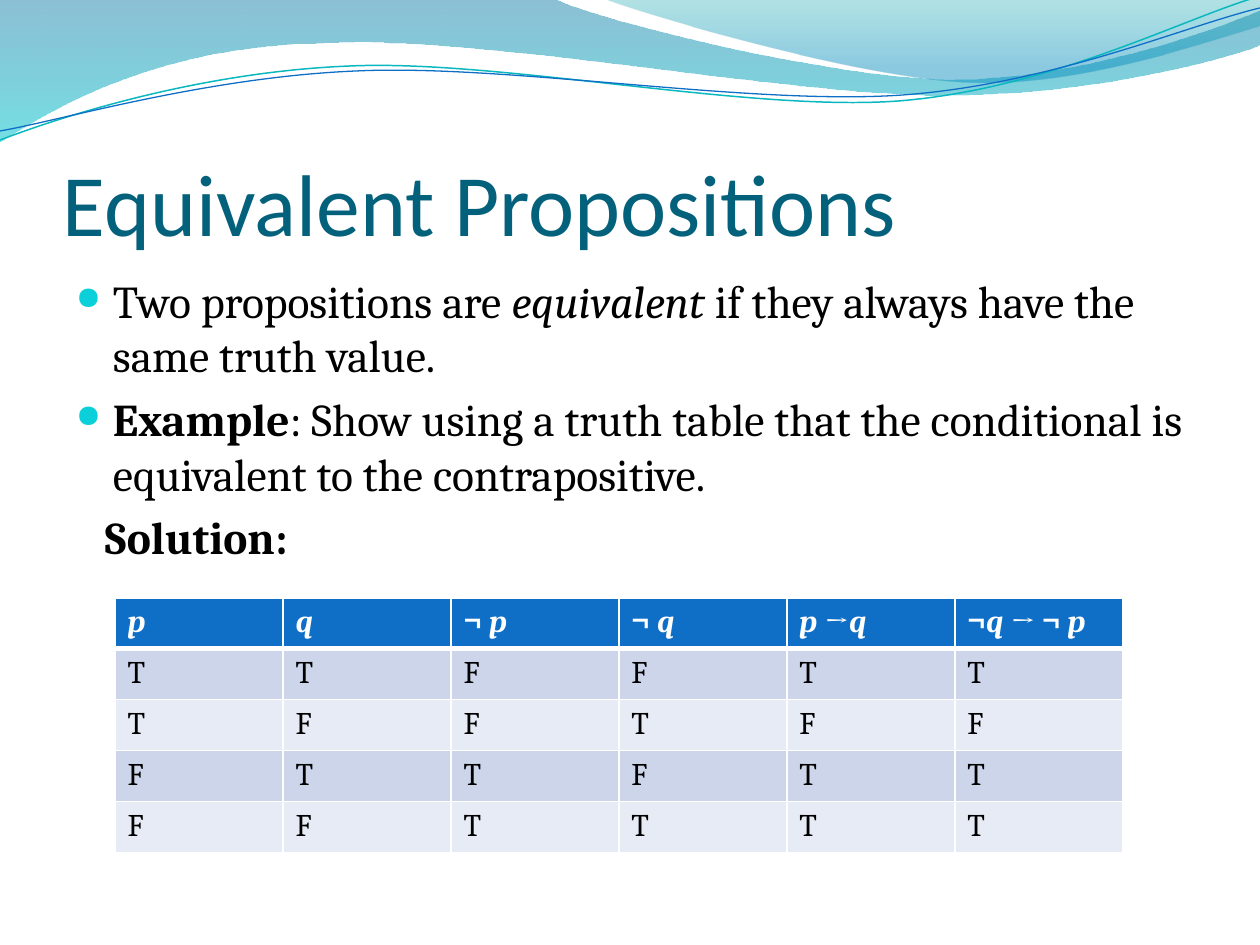
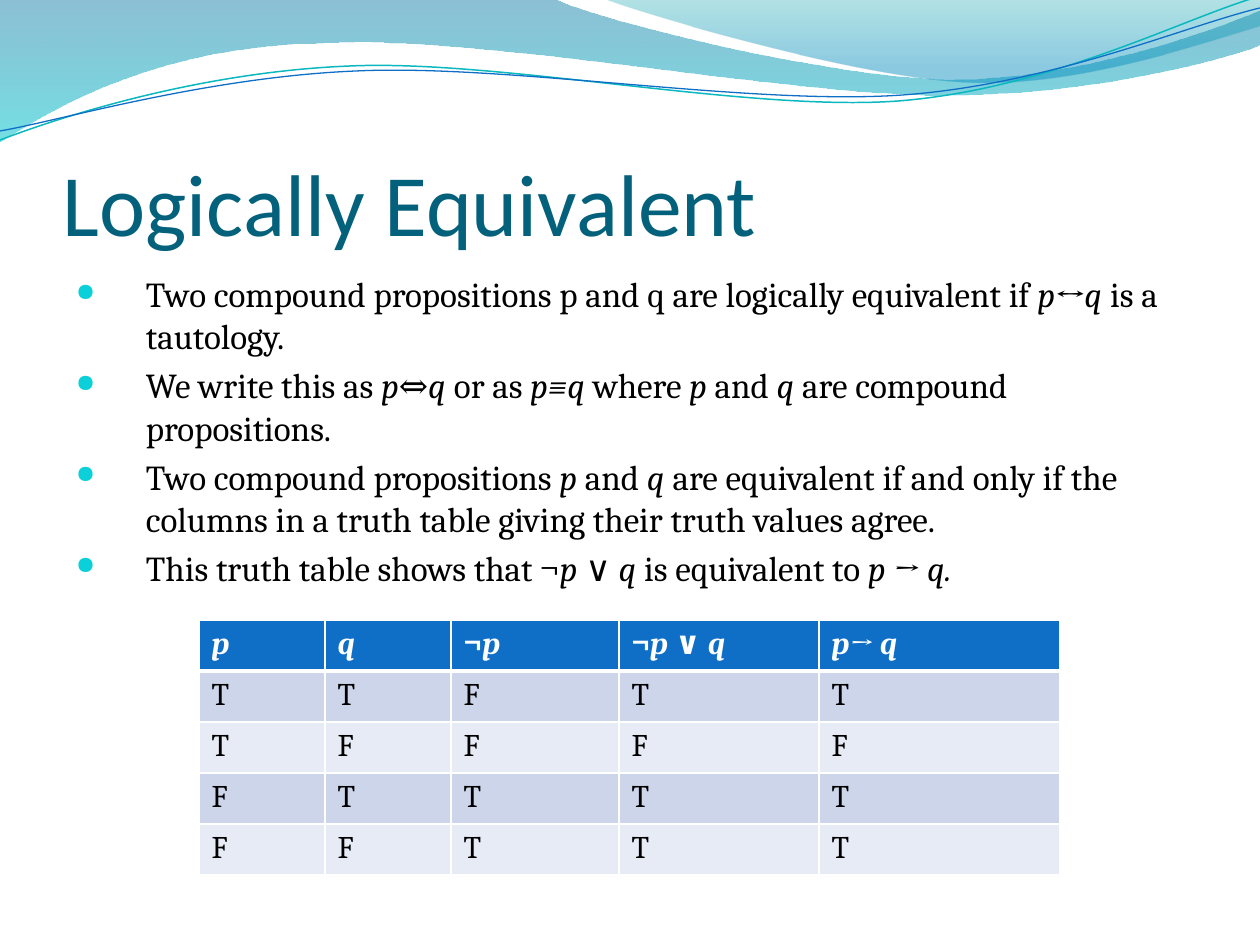
"""Build two slides on equivalent propositions, each with a truth table under a wave header."""
from dataclasses import dataclass

from lxml import etree
from pptx import Presentation
from pptx.dml.color import RGBColor
from pptx.enum.text import MSO_ANCHOR
from pptx.oxml.ns import qn
from pptx.util import Pt

PX = 914400 / 126
TOP, BOTTOM = MSO_ANCHOR.TOP, MSO_ANCHOR.BOTTOM


@dataclass(frozen=True)
class Theme:
    title_font: str = "Calibri"
    text_font: str = "Cambria"
    title_size: int = 50
    table_size: int = 18
    bullet_percent: int = 70
    title: str = "04617B"
    text: str = "000000"
    white: str = "FFFFFF"
    bullet: str = "0BD0D9"
    header: str = "0F6FC6"
    bands: tuple = ("CCD5EA", "E7EBF5")


THEME = Theme()
PAGE_SIZE = (1260, 945)
TITLE_BOX = (63, 96, 1134, 158)
BODY_BOX = (63, 267, 1136, 605)
TEXT_INSETS = (13, 6, 13, 6)
TITLE_INSETS = (0, 6, 0, 0)
PLAIN_MARGIN = 29
ROW_HEIGHT = 51

SLIDES = [
    {
        "title": "Equivalent Propositions",
        "size": 26,
        "hang": 37,
        "bullets": [
            "Two propositions are _equivalent _if they always have the same truth value.",
            "*Example*: Show using a truth table that the conditional is equivalent to the contrapositive.",
        ],
        "plain": ["*Solution:*"],
        "table": {
            "at": (115, 598),
            "columns": [168] * 6,
            "header_height": 21,
            "header": ["_p_", "_q_", "¬ _p_", "¬ _q_", "_p _→_q_", "¬_q _→ ¬ _p_"],
            "rows": ["TTFFTT", "TFFTFF", "FTTFTT", "FFTTTT"],
        },
    },
    {
        "title": "Logically Equivalent",
        "size": 20,
        "hang": 70,
        "bullets": [
            "Two compound propositions p and q are logically equivalent if _p↔q_ is a tautology.",
            "We write this as _p⇔q_ or as _p≡q_ where _p_ and _q_ are compound propositions.",
            "Two compound propositions _p_ and _q_ are equivalent if and only if the columns "
            "in a truth table giving their truth values agree.",
            "This truth table shows that ¬_p _∨ _q _is equivalent to _p → q._",
        ],
        "plain": [],
        "table": {
            "at": (199, 620),
            "columns": [126, 126, 168, 200, 241],
            "header_height": ROW_HEIGHT,
            "header": ["_p_", "_q_", "¬_p_", "¬_p _∨ _q_", "_p→ q_"],
            "rows": ["TTFTT", "TFFFF", "FTTTT", "FFTTT"],
        },
    },
]

WAVE_BANDS = [
    {
        "outline": [(0, 0), (554, -1), (600, 21, 837, 79, 955, 79), (1075, 79, 1207, 33, 1260, 11),
                    (1261, 45), (1239, 55, 1096, 96, 940, 95), (783, 95, 481, 35, 324, 43),
                    (163, 45, 58, 105, -1, 142)],
        "stops": [(0, "0074A1", 45), (1, "00C6CF", 55)],
    },
    {
        "outline": [(604, -1), (641, 14, 859, 78, 969, 82), (1079, 87, 1211, 40, 1260, 26), (1260, 0)],
        "stops": [(0, "00A1A9", 30), (0.8, "008BBF", 45)],
    },
]
WAVE_LINES = [
    {
        "outline": [(0, 140), (60, 117, 199, 72, 349, 66), (498, 59, 747, 112, 898, 101),
                    (1050, 89, 1182, 19, 1257, -3)],
        "color": "0AB8BF", "width": 0.85,
    },
    {
        "outline": [(0, 131), (59, 121, 207, 77, 357, 71), (508, 64, 752, 106, 903, 95),
                    (1053, 84, 1185, 26, 1260, 8)],
        "color": "0F6FC6", "width": 0.75,
    },
]


def emu(*lengths):
    return [round(length * PX) for length in lengths]


def rgb(color):
    return RGBColor.from_string(color)


def add_node(parent, tag, **attributes):
    return etree.SubElement(parent, qn(tag), {key: str(value) for key, value in attributes.items()})


def add_outline(page, outline, close):
    """Draw pairs as straight steps and six numbers as a cubic curve."""
    anchors = [emu(*step[-2:]) for step in outline]
    builder = page.shapes.build_freeform(*anchors[0], scale=1.0)
    builder.add_line_segments(anchors[1:], close=close)
    shape = builder.convert_to_shape()
    shape.shadow.inherit = False
    segments = list(shape._element.spPr.iter(qn("a:lnTo")))
    for segment, step in zip(segments, outline[1:]):
        if len(step) == 6:
            segment.clear()
            curve = etree.Element(qn("a:cubicBezTo"))
            for x, y in zip(emu(*step[::2]), emu(*step[1::2])):
                add_node(curve, "a:pt", x=x - shape.left, y=y - shape.top)
            segment.getparent().replace(segment, curve)
    return shape


def add_waves(page):
    for band in WAVE_BANDS:
        shape = add_outline(page, band["outline"], True)
        shape.line.fill.background()
        shape.fill.gradient()
        shape.fill.gradient_angle = 270
        for stop, (position, color, _) in zip(shape.fill.gradient_stops, band["stops"]):
            stop.position = position
            stop.color.rgb = rgb(color)
        colors = list(shape._element.spPr.iter(qn("a:srgbClr")))
        for node, (_, _, opacity) in zip(colors, band["stops"]):
            add_node(node, "a:alpha", val=opacity * 1000)
    for line in WAVE_LINES:
        shape = add_outline(page, line["outline"], False)
        shape.fill.background()
        shape.line.color.rgb = rgb(line["color"])
        shape.line.width = Pt(line["width"])


def write(para, text, *, size, font=THEME.text_font, color=THEME.text, bold=False):
    """Write text in which _ switches italic and * switches bold."""
    for bold_turn, chunk in enumerate(text.split("*")):
        for italic_turn, piece in enumerate(chunk.split("_")):
            if piece:
                span = para.add_run()
                span.text = piece
                span.font.size = Pt(size)
                span.font.name = font
                span.font.color.rgb = rgb(color)
                span.font.bold = bold or bold_turn % 2 == 1
                span.font.italic = italic_turn % 2 == 1


def add_box(page, place, insets, anchor):
    frame = page.shapes.add_textbox(*emu(*place)).text_frame
    frame.word_wrap = True
    frame.vertical_anchor = anchor
    frame.margin_left, frame.margin_top, frame.margin_right, frame.margin_bottom = emu(*insets)
    return frame


def set_bullet(para, hang):
    properties = para._p.get_or_add_pPr()
    margin = emu(hang)[0]
    properties.set("marL", str(margin))
    properties.set("indent", str(-margin))
    add_node(add_node(properties, "a:buClr"), "a:srgbClr", val=THEME.bullet)
    add_node(properties, "a:buSzPct", val=THEME.bullet_percent * 1000)
    add_node(properties, "a:buChar", char="●")


def add_body(page, content):
    frame = add_box(page, BODY_BOX, TEXT_INSETS, TOP)
    for index, text in enumerate(content["bullets"] + content["plain"]):
        para = frame.add_paragraph() if index else frame.paragraphs[0]
        para.space_before = Pt(content["size"] * 0.2)
        if index < len(content["bullets"]):
            set_bullet(para, content["hang"])
        else:
            para._p.get_or_add_pPr().set("marL", str(emu(PLAIN_MARGIN)[0]))
        write(para, text, size=content["size"])


def set_borders(cell, top, bottom):
    properties = cell._tc.get_or_add_tcPr()
    for side, width in (("L", 1), ("R", 1), ("T", top), ("B", bottom)):
        line = add_node(properties, f"a:ln{side}", w=Pt(width))
        add_node(add_node(line, "a:solidFill"), "a:srgbClr", val=THEME.white)


def add_truth_table(page, content):
    columns = content["columns"]
    rows = [content["header"], *content["rows"]]
    heights = [content["header_height"]] + [ROW_HEIGHT] * len(content["rows"])
    place = emu(*content["at"], sum(columns), sum(heights))
    table = page.shapes.add_table(len(rows), len(columns), *place).table
    for column, width in zip(table.columns, emu(*columns)):
        column.width = width
    for row, height in zip(table.rows, emu(*heights)):
        row.height = height
    for row_index, texts in enumerate(rows):
        is_header = row_index == 0
        fill = THEME.header if is_header else THEME.bands[(row_index - 1) % 2]
        for column_index, text in enumerate(texts):
            cell = table.cell(row_index, column_index)
            set_borders(cell, 3 if row_index == 1 else 1, 3 if is_header else 1)
            cell.fill.solid()
            cell.fill.fore_color.rgb = rgb(fill)
            write(cell.text_frame.paragraphs[0], text, size=THEME.table_size, bold=is_header,
                  color=THEME.white if is_header else THEME.text)


def main():
    deck = Presentation()
    deck.slide_width, deck.slide_height = emu(*PAGE_SIZE)
    for content in SLIDES:
        page = deck.slides.add_slide(deck.slide_layouts[6])
        add_waves(page)
        title = add_box(page, TITLE_BOX, TITLE_INSETS, BOTTOM)
        write(title.paragraphs[0], content["title"], size=THEME.title_size,
              font=THEME.title_font, color=THEME.title)
        add_body(page, content)
        add_truth_table(page, content["table"])
    deck.save("out.pptx")


if __name__ == "__main__":
    main()
